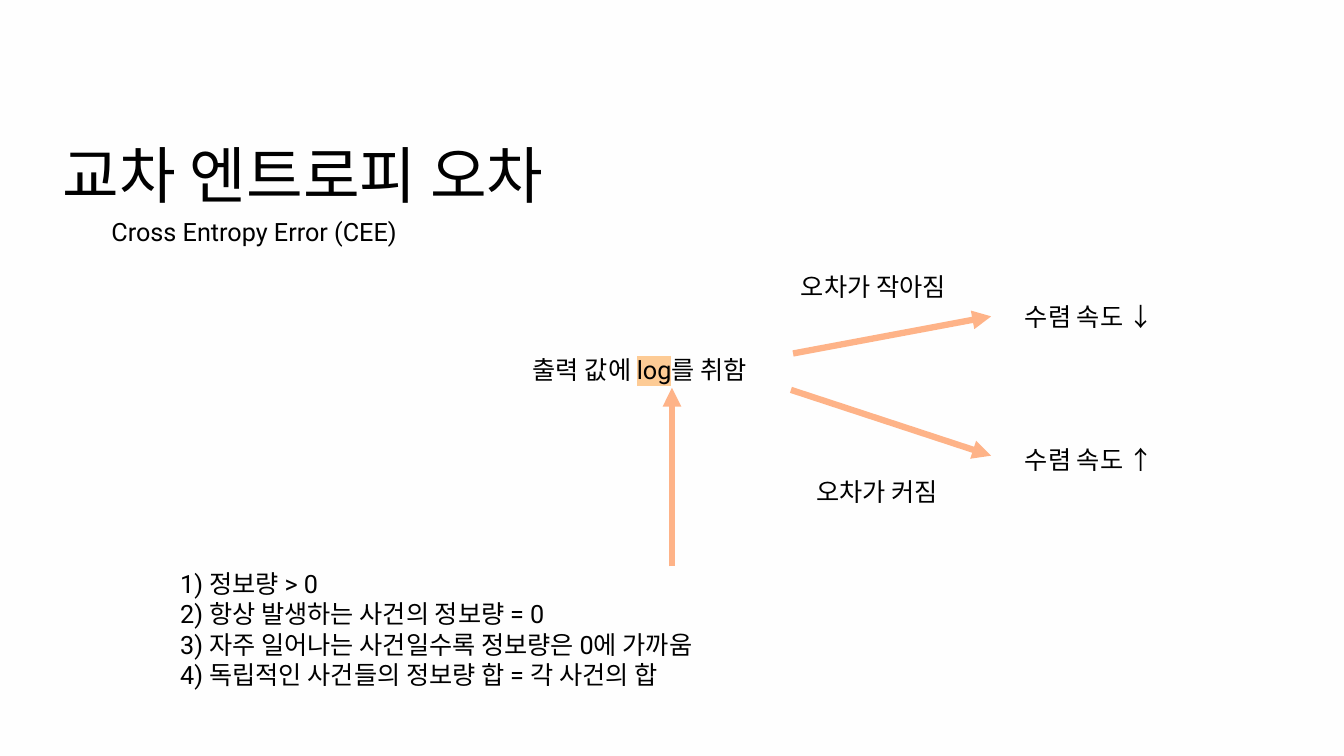
"""Build a slide on cross entropy error and why the output is passed through a log."""
from lxml import etree
from pptx import Presentation
from pptx import util as u
from pptx.dml.color import RGBColor
from pptx.enum import shapes, text
from pptx.oxml import ns

THEME = {
    "background": RGBColor.from_string("FEFEFE"),
    "ink": RGBColor.from_string("000000"),
    "arrow": RGBColor.from_string("FEB388"),
    "highlight": "FDCB95",
    "title": {"size": u.Pt(44), "name": "Lato"},
    "body": {"size": u.Pt(18), "name": "Roboto"},
}


def place(shape, left, top, width, height):
    """Move and size a shape, in points."""
    frame = {"left": left, "top": top, "width": width, "height": height}
    for name, value in frame.items():
        setattr(shape, name, u.Pt(value))


def write(shape, lines, style, frame_format, paragraph_format):
    """Fill a shape with lines, each a list of runs, in one text style."""
    for name, value in frame_format.items():
        setattr(shape.text_frame, name, value)
    for number, runs in enumerate(lines):
        paragraph = shape.text_frame.paragraphs[0] if number == 0 else shape.text_frame.add_paragraph()
        for name, value in paragraph_format.items():
            setattr(paragraph, name, value)
        for words in runs:
            run = paragraph.add_run()
            run.text = words
            run.font.color.rgb = THEME["ink"]
            for name, value in THEME[style].items():
                setattr(run.font, name, value)


presentation = Presentation()
presentation.slide_width = u.Pt(960)
presentation.slide_height = u.Pt(540)
slide = presentation.slides.add_slide(presentation.slide_layouts[1])
slide.background.fill.solid()
slide.background.fill.fore_color.rgb = THEME["background"]

title = slide.shapes.title
place(title, 37.5, 75.5, 407.5, 104.5)
write(title, [["교차 엔트로피 오차"]], "title",
      {"word_wrap": True, "vertical_anchor": text.MSO_ANCHOR.MIDDLE},
      {"alignment": text.PP_ALIGN.LEFT, "line_spacing": 0.9})

box_format = {"word_wrap": True, "auto_size": text.MSO_AUTO_SIZE.SHAPE_TO_FIT_TEXT,
              "vertical_anchor": text.MSO_ANCHOR.TOP}
plain = {"alignment": text.PP_ALIGN.LEFT, "space_before": u.Pt(0)}

properties = slide.placeholders[1]
place(properties, 121.5, 402.5, 454.5, 94.5)
write(properties, [
    ["1) 정보량 > 0"],
    ["2) 항상 발생하는 사건의 정보량 = 0"],
    ["3) 자주 일어나는 사건일수록 정보량은 0에 가까움"],
    ["4) 독립적인 사건들의 정보량 합 = 각 사건의 합"],
], "body", box_format, plain)
for paragraph in properties.text_frame.paragraphs:
    settings = paragraph._p.get_or_add_pPr()
    settings.set("marL", "0")
    settings.set("indent", "0")
    etree.SubElement(settings, ns.qn("a:buNone"))

labels = [
    (72.5, 151, 245, ["Cross Entropy Error (CEE)"]),
    (373.5, 249.5, 245, ["출력 값에 ", "log", "를 취함"]),
    (565, 190.5, 245, ["오차가 작아짐"]),
    (576, 336.5, 245, ["오차가 커짐"]),
    (725, 211.5, 230, ["수렴 속도 ↓"]),
    (725, 314, 230, ["수렴 속도 ↑"]),
]
for left, top, width, runs in labels:
    label = slide.shapes.add_textbox(0, 0, 0, 0)
    place(label, left, top, width, 29)
    write(label, [runs], "body", box_format, plain)
    for run in label.text_frame.paragraphs[0].runs:
        if run.text == "log":
            highlight = etree.Element(ns.qn("a:highlight"))
            etree.SubElement(highlight, ns.qn("a:srgbClr"), val=THEME["highlight"])
            run._r.rPr.find(ns.qn("a:latin")).addprevious(highlight)

arrows = [
    (566.5, 252.5, 708, 226),
    (565, 278.5, 708, 325.5),
    (480, 404.5, 480, 277),
]
for ends in arrows:
    arrow = slide.shapes.add_connector(shapes.MSO_CONNECTOR.STRAIGHT, *map(u.Pt, ends))
    arrow.line.color.rgb = THEME["arrow"]
    arrow.line.width = u.Pt(4.5)
    etree.SubElement(arrow.line._get_or_add_ln(), ns.qn("a:tailEnd"), type="triangle")
    etree.SubElement(arrow._element.spPr, ns.qn("a:effectLst"))

presentation.save("out.pptx")
